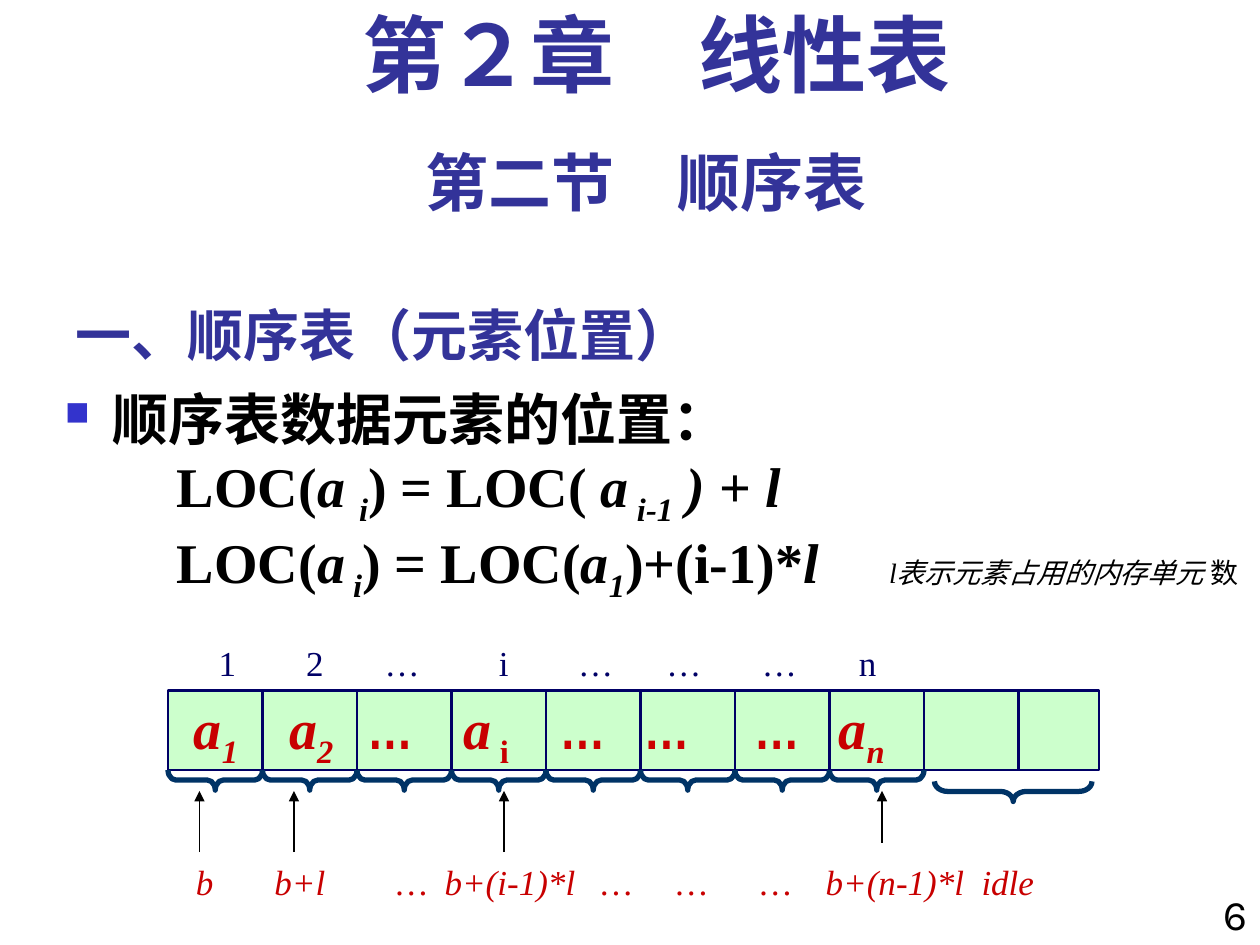
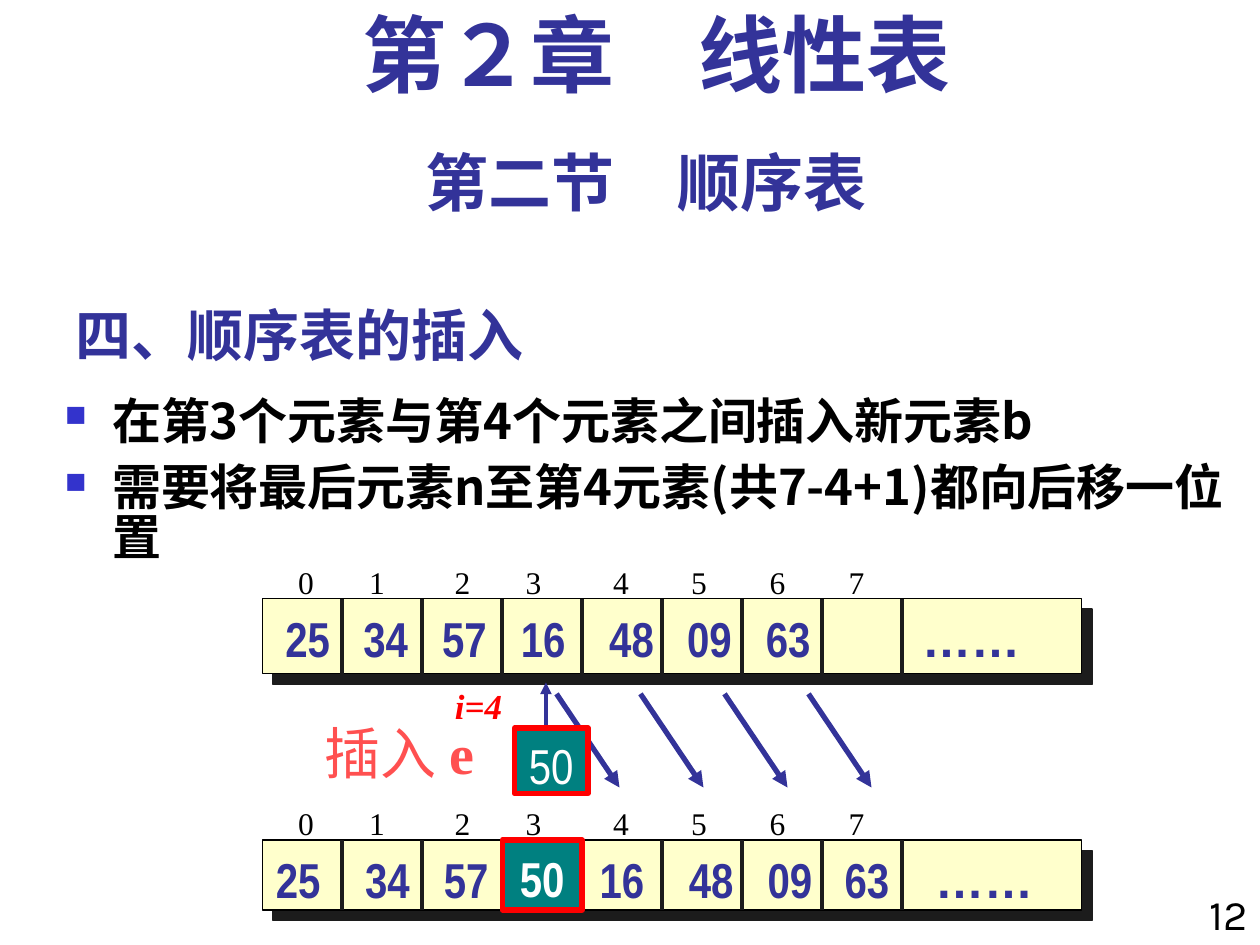
from lxml.etree import SubElement
from pptx import Presentation
from pptx.dml.color import RGBColor
from pptx.enum.shapes import MSO_CONNECTOR, MSO_SHAPE
from pptx.enum.text import MSO_ANCHOR, PP_ALIGN
from pptx.oxml.ns import qn
from pptx.util import Pt

COLORS = {
    "heading": "333399", "bullet": "3333CC", "black": "000000",
    "white": "FFFFFF", "navy": "000066", "brace": "003366",
    "mint": "CCFFCC", "crimson": "C80000", "dots": "CC0000",
    "cream": "FFFFCC", "divider": "1C1C1C", "teal": "008080",
    "red": "FF0000", "coral": "FF5050",
}
CHINESE = "Noto Sans CJK SC"
SERIF = "Times New Roman"
NARROW = "Arial Narrow"
INSET = 7.2


def rgb(color):
    return RGBColor.from_string(COLORS[color])


def style_font(font, size=None, name=None, color=None, bold=None, italic=None):
    if size:
        font.size = Pt(size)
    if name:
        font.name = name
    if color:
        font.color.rgb = rgb(color)
    if bold is not None:
        font.bold = bold
    if italic is not None:
        font.italic = italic


def set_tabs(paragraph, stops, align):
    tab_list = SubElement(paragraph._p.get_or_add_pPr(), qn("a:tabLst"))
    for stop in stops:
        SubElement(tab_list, qn("a:tab"), pos=str(Pt(stop)), algn=align)


def set_bullet(paragraph):
    properties = paragraph._p.get_or_add_pPr()
    properties.set("marL", str(Pt(27)))
    properties.set("indent", str(-Pt(27)))
    bullet_color = SubElement(properties, qn("a:buClr"))
    SubElement(bullet_color, qn("a:srgbClr"), val=COLORS["bullet"])
    SubElement(properties, qn("a:buSzPct"), val="60000")
    SubElement(properties, qn("a:buChar"), char="■")


def write(paragraph, content, align=PP_ALIGN.LEFT, **style):
    paragraph.alignment = align
    style_font(paragraph.font, **style)
    defaults = paragraph._p.pPr.find(qn("a:defRPr"))
    SubElement(defaults, qn("a:ea"), typeface=CHINESE)
    runs = [(content, {})] if isinstance(content, str) else content
    for text, changes in runs:
        run = paragraph.add_run()
        run.text = text
        changes = dict(changes)
        if changes.pop("sub", False):
            run._r.get_or_add_rPr().set("baseline", "-25000")
        style_font(run.font, **changes)


def set_frame(frame, top=3.6, side=INSET, bottom=3.6, wrap=True):
    frame.word_wrap = wrap
    frame.vertical_anchor = MSO_ANCHOR.TOP
    frame.margin_left = frame.margin_right = Pt(side)
    frame.margin_top, frame.margin_bottom = Pt(top), Pt(bottom)
    return frame.paragraphs[0]


def add_text(slide, box, content, top=3.6, wrap=True, **style):
    frame = slide.shapes.add_textbox(*map(Pt, box)).text_frame
    paragraph = set_frame(frame, top, wrap=wrap)
    write(paragraph, content, **style)
    return paragraph


def add_row(slide, box, labels, centers, top=3.6, **style):
    frame = slide.shapes.add_textbox(*map(Pt, box)).text_frame
    paragraph = set_frame(frame, top)
    set_tabs(paragraph, [center - box[0] - INSET for center in centers], "ctr")
    runs = []
    for label in labels:
        pieces = [(label, {})] if isinstance(label, str) else label
        first, changes = pieces[0]
        runs += [("\t" + first, changes)] + pieces[1:]
    write(paragraph, runs, **style)


def add_box(slide, box, fill, line, width):
    shape = slide.shapes.add_shape(MSO_SHAPE.RECTANGLE, *map(Pt, box))
    shape.shadow.inherit = False
    shape.fill.solid()
    shape.fill.fore_color.rgb = rgb(fill)
    shape.line.color.rgb = rgb(line)
    shape.line.width = Pt(width)
    return shape


def add_line(slide, start, end, color, width, arrow=False):
    line = slide.shapes.add_connector(
        MSO_CONNECTOR.STRAIGHT, *map(Pt, (*start, *end)))
    line.line.color.rgb = rgb(color)
    line.line.width = Pt(width)
    if arrow:
        SubElement(line.line._get_or_add_ln(), qn("a:tailEnd"), type="triangle")
    SubElement(line._element.spPr, qn("a:effectLst"))


def add_dividers(slide, box, pitch, count, color, width):
    left, top, _, height = box
    for number in range(1, count + 1):
        x = left + number * pitch
        add_line(slide, (x, top), (x, top + height), color, width)


def add_brace(slide, left, top, length, depth=11.5):
    brace = slide.shapes.add_shape(
        MSO_SHAPE.LEFT_BRACE, Pt(left + (length - depth) / 2),
        Pt(top - (length - depth) / 2), Pt(depth), Pt(length))
    brace.rotation = 270
    brace.adjustments[0] = length / 12 / depth
    brace.shadow.inherit = False
    brace.fill.background()
    brace.line.color.rgb = rgb("brace")
    brace.line.width = Pt(3)


def add_new_element(slide, box, top, bold):
    cell = add_box(slide, box, "teal", "red", 3)
    paragraph = set_frame(cell.text_frame, top, side=0, bottom=0, wrap=False)
    write(paragraph, "50", PP_ALIGN.CENTER, size=28, name=NARROW,
          color="white", bold=bold)


def add_cast_shadow(shape):
    effects = shape._element.spPr.find(qn("a:effectLst"))
    shadow = SubElement(effects, qn("a:outerShdw"), dist=str(Pt(8.5)),
                        dir="2700000", algn="ctr", rotWithShape="0")
    SubElement(shadow, qn("a:srgbClr"), val=COLORS["divider"])


def start_slide(deck, topic, number):
    slide = deck.slides.add_slide(deck.slide_layouts[5])
    title = slide.shapes.title
    title.left, title.top, title.width, title.height = map(
        Pt, (36, 156, 450, 54))
    paragraph = set_frame(title.text_frame, bottom=0)
    title.text_frame.vertical_anchor = MSO_ANCHOR.BOTTOM
    write(paragraph, topic, size=32, name=CHINESE, color="heading", bold=True)
    add_text(slide, (672, 504, 48, 42), number, align=PP_ALIGN.RIGHT,
             size=24, name="Karla", color="black")
    add_text(slide, (36, 82, 666, 50), "第二节　顺序表", top=0,
             align=PP_ALIGN.CENTER, size=36, name="Karla",
             color="heading", bold=True)
    chapter = add_text(slide, (48, 8, 654, 60), "第２章　线性表", top=0,
                       align=PP_ALIGN.CENTER, size=48, name=SERIF,
                       color="heading", bold=True)
    chapter.line_spacing = 0.9
    return slide


def add_formulas(slide):
    frame = slide.shapes.add_textbox(*map(Pt, (30, 216, 690, 132))).text_frame
    heading = set_frame(frame)
    frame.margin_right = Pt(0)
    set_bullet(heading)
    write(heading, "顺序表数据元素的位置：", size=32, name=CHINESE,
          color="black", bold=True)
    italic = {"italic": True}
    sub = {"italic": True, "sub": True}
    note = {"size": 16, "bold": False}
    formulas = [
        [("\tLOC(", {}), ("a ", italic), ("i", sub), (") = LOC(", {}),
         (" a", italic), (" i-1", sub), (" ) ", italic), ("+ ", {}),
         ("l", italic)],
        [("\tLOC(", {}), ("a", italic), (" i", sub), (") = LOC(", {}),
         ("a", italic), ("1", sub), (")+(i-1)*", {}), ("l", italic),
         ("\tl表示元素占用的内存单元", {**note, **italic}), (" 数", note)],
    ]
    for formula in formulas:
        paragraph = frame.add_paragraph()
        set_tabs(paragraph, (64, 471), "l")
        write(paragraph, formula, size=32, name=SERIF, color="black", bold=True)


def build_positions(deck):
    slide = start_slide(deck, "一、顺序表（元素位置）", "6")
    add_formulas(slide)
    array = (96, 394.5, 532, 45.5)
    left, top, _, height = array
    pitch = 54
    add_box(slide, array, "mint", "navy", 1.5)
    add_dividers(slide, array, pitch, 9, "navy", 1.5)
    sub = {"sub": True}
    dots = [("…", {"name": NARROW, "color": "dots", "italic": False})]
    add_row(slide, array,
            [[("a", {}), ("1", sub)], [("a", {}), ("2", sub)], dots,
             [("a", {}), (" i", {"italic": False, "sub": True})],
             dots, dots, dots, [("a", {}), ("n", sub)]],
            (123.5, 178, 223, 278, 333, 381, 444, 492.5), top=2,
            size=32, name=SERIF, color="crimson", bold=True, italic=True)
    add_row(slide, (102, 348, 426, 46),
            ["1", "2", "…", "i", "…", "…", "…", "n"],
            (130, 180, 230, 288, 340.5, 391, 445.5, 496), top=18.4,
            size=20, name=SERIF, color="navy")
    for number in range(8):
        add_brace(slide, left + number * pitch, top + height, pitch)
    add_brace(slide, 534, 446.5, 90)
    add_row(slide, (78, 469.5, 552, 50),
            ["b", "b+l", "…", "b+(i-1)*l", "…", "…", "…", "b+(n-1)*l", "idle"],
            (117, 171.5, 235.5, 291.5, 352.5, 395.5, 443.5, 511.5, 576),
            top=22.5, size=20, name=SERIF, color="crimson", italic=True)
    for x, bottom in ((114, 487), (168, 487), (288, 487), (504, 481.5)):
        add_line(slide, (x, bottom), (x, 452), "black", 0.75, arrow=True)


def add_list(slide, box, text_top, values, centers):
    left, top, width, _ = box
    strip = add_box(slide, box, "cream", "black", 0.75)
    add_cast_shadow(strip)
    add_dividers(slide, box, 45.65, 8, "divider", 2.25)
    labels = values + [[("……", {"name": "Arial"})]]
    add_row(slide, (left, text_top, width, 41), labels, centers,
            size=28, name=NARROW, color="heading", bold=True)
    add_row(slide, (left, top - 24, 405, 29), [str(n) for n in range(8)],
            (175, 215.5, 264.5, 305, 355, 399.5, 444.5, 489.5),
            size=18, name=SERIF, color="black")


def build_insertion(deck):
    slide = start_slide(deck, "四、顺序表的插入", "12")
    frame = slide.shapes.add_textbox(*map(Pt, (30, 222, 690, 120))).text_frame
    steps = ["在第3个元素与第4个元素之间插入新元素b",
             "需要将最后元素n至第4元素(共7-4+1)都向后移一位置"]
    for number, step in enumerate(steps):
        paragraph = frame.add_paragraph() if number else set_frame(frame, top=6)
        set_bullet(paragraph)
        paragraph.line_spacing = 0.85
        paragraph.space_before = Pt(9.7 * number)
        write(paragraph, step, size=28, name=CHINESE, color="black", bold=True)
    add_list(slide, (150, 342, 468, 43), 344,
             ["25", "34", "57", "16", "48", "09", "63"],
             (176, 220.5, 265.5, 310.5, 361, 405.5, 450.5, 555))
    add_list(slide, (150, 480, 468, 40), 482,
             ["25", "34", "57", "16", "48", "09", "63"],
             (170.5, 221.5, 266.5, 355.5, 406.5, 451.5, 495.5, 562.5))
    add_new_element(slide, (287, 480, 45.65, 40), 5, True)
    for number in range(4):
        x = 318 + 48 * number
        add_line(slide, (x, 396.5), (x + 36, 450), "heading", 3, arrow=True)
    add_line(slide, (312, 420), (312, 390), "heading", 2.25, arrow=True)
    add_new_element(slide, (294, 416, 42, 37.5), 4.5, False)
    add_text(slide, (178.5, 407, 116, 46), [("插入 ", {}), ("e", {"bold": True})],
             wrap=False, size=32, name=SERIF, color="coral")
    add_text(slide, (198, 387.5, 96, 32), "i=4", align=PP_ALIGN.RIGHT,
             size=20, name=SERIF, color="red", bold=True, italic=True)


def main():
    deck = Presentation()
    deck.slide_width, deck.slide_height = Pt(720), Pt(540)
    build_positions(deck)
    build_insertion(deck)
    deck.save("out.pptx")


if __name__ == "__main__":
    main()
